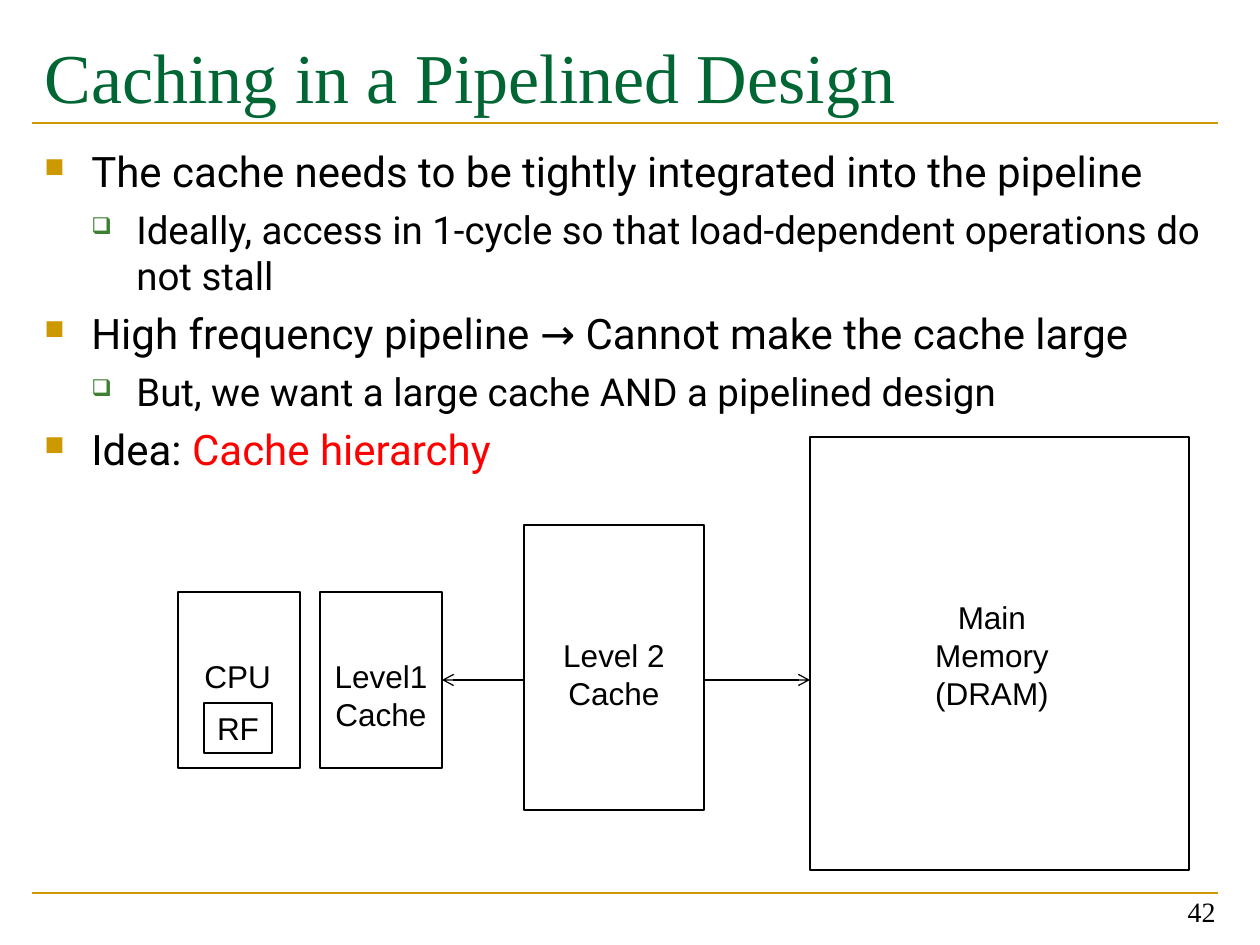
"""Build the slide on caching in a pipelined design."""
from dataclasses import dataclass

from lxml import etree
from pptx import Presentation
from pptx import util as u
from pptx.dml.color import RGBColor
from pptx.enum import shapes, text
from pptx.oxml import ns

PX = 914400 / 126
LEFT, CENTER, RIGHT = text.PP_ALIGN.LEFT, text.PP_ALIGN.CENTER, text.PP_ALIGN.RIGHT


@dataclass(frozen=True)
class Theme:
    """Colours, fonts and type sizes."""
    ink: str = "000000"
    paper: str = "FFFFFF"
    gold: str = "CC9900"
    green: str = "006633"
    leaf: str = "3B812F"
    red: str = "FF0000"
    serif: str = "Times New Roman"
    body: str = "Roboto"
    label: str = "Arial"
    title_size: int = 40
    number_size: int = 16
    label_size: int = 18
    space_before: float = 5.5


THEME = Theme()


@dataclass(frozen=True)
class Area:
    """A rectangle in px."""
    x: int
    y: int
    w: int
    h: int

    def emu(self) -> list[int]:
        """Return left, top, width and height in EMU."""
        return [px(v) for v in (self.x, self.y, self.w, self.h)]


@dataclass(frozen=True)
class Level:
    """The look of one bullet level; lengths in px, mark size in percent."""
    mark: str
    colour: str
    scale: int
    left: int
    hang: int
    size: int


@dataclass(frozen=True)
class Bullet:
    """A bullet of the body text, with an optional highlighted ending."""
    level: int
    words: str
    highlight: str = ""


LEVELS = (
    Level("■", THEME.gold, 65, 47, 47, 24),
    Level("❑", THEME.leaf, 60, 92, 45, 22),
)
BULLETS = (
    Bullet(0, "The cache needs to be tightly integrated into the pipeline"),
    Bullet(1, "Ideally, access in 1-cycle so that load-dependent operations do not stall"),
    Bullet(0, "High frequency pipeline → Cannot make the cache large"),
    Bullet(1, "But, we want a large cache AND a pipelined design"),
    Bullet(0, "Idea: ", "Cache hierarchy"),
)


def px(value: float) -> int:
    """Turn px into EMU."""
    return round(value * PX)


def add_run(paragraph, words: str, font: str, size: int, colour: str) -> None:
    """Add one formatted run."""
    run = paragraph.add_run()
    run.text = words
    run.font.name, run.font.size = font, u.Pt(size)
    run.font.color.rgb = RGBColor.from_string(colour)


def add_text(slide, area: Area, lines: tuple[str, ...], align=CENTER,
             anchor=text.MSO_ANCHOR.TOP, font: str = THEME.label,
             size: int = THEME.label_size) -> None:
    """Add a text box with one paragraph for each line."""
    frame = slide.shapes.add_textbox(*area.emu()).text_frame
    frame.word_wrap = True
    frame.vertical_anchor = anchor
    for index, line in enumerate(lines):
        paragraph = frame.add_paragraph() if index else frame.paragraphs[0]
        paragraph.alignment = align
        add_run(paragraph, line, font, size, THEME.ink)


def add_block(slide, area: Area, fill: str = ""):
    """Add an outlined rectangle, hollow unless a fill is given."""
    block = slide.shapes.add_shape(shapes.MSO_SHAPE.RECTANGLE, *area.emu())
    block.shadow.inherit = False
    if fill:
        block.fill.solid()
        block.fill.fore_color.rgb = RGBColor.from_string(fill)
    else:
        block.fill.background()
    block.line.color.rgb = RGBColor.from_string(THEME.ink)
    block.line.width = u.Pt(0.75)
    return block


def add_line(slide, start: tuple[int, int], end: tuple[int, int],
             colour: str, width: float):
    """Add a straight line without a shadow."""
    line = slide.shapes.add_connector(
        shapes.MSO_CONNECTOR.STRAIGHT, *(px(v) for v in start + end))
    line.line.color.rgb = RGBColor.from_string(colour)
    line.line.width = u.Pt(width)
    etree.SubElement(line._element.spPr, ns.qn("a:effectLst"))
    return line


def add_bullet(paragraph, bullet: Bullet, first: bool) -> None:
    """Fill a paragraph with a bullet of its level."""
    level = LEVELS[bullet.level]
    paragraph.level = bullet.level
    props = paragraph._p.get_or_add_pPr()
    props.set("marL", str(px(level.left)))
    props.set("indent", str(px(-level.hang)))
    colour = etree.SubElement(props, ns.qn("a:buClr"))
    etree.SubElement(colour, ns.qn("a:srgbClr"), val=level.colour)
    etree.SubElement(props, ns.qn("a:buSzPct"), val=str(level.scale * 1000))
    etree.SubElement(props, ns.qn("a:buChar"), char=level.mark)
    paragraph.space_before = u.Pt(0 if first else THEME.space_before)
    add_run(paragraph, bullet.words, THEME.body, level.size, THEME.ink)
    if bullet.highlight:
        add_run(paragraph, bullet.highlight, THEME.body, level.size, THEME.red)


def add_heading(slide) -> None:
    """Place and format the title."""
    title = slide.shapes.title
    title.left, title.top, title.width, title.height = Area(32, 21, 1186, 147).emu()
    frame = title.text_frame
    frame.auto_size = text.MSO_AUTO_SIZE.NONE
    frame.vertical_anchor = text.MSO_ANCHOR.TOP
    frame.margin_top = px(13)
    frame.paragraphs[0].alignment = LEFT
    add_run(frame.paragraphs[0], "Caching in a Pipelined Design",
            THEME.serif, THEME.title_size, THEME.green)


def add_body(slide) -> None:
    """Add the bulleted text."""
    frame = slide.shapes.add_textbox(*Area(32, 137, 1186, 716).emu()).text_frame
    frame.word_wrap = True
    frame.margin_top = px(9)
    for index, bullet in enumerate(BULLETS):
        paragraph = frame.add_paragraph() if index else frame.paragraphs[0]
        add_bullet(paragraph, bullet, index == 0)


def add_hierarchy(slide) -> None:
    """Draw the processor, the two caches and the memory."""
    add_block(slide, Area(178, 592, 122, 176))
    add_block(slide, Area(810, 437, 379, 433))
    level1 = add_block(slide, Area(320, 592, 122, 176))
    register_file = add_block(slide, Area(204, 703, 68, 50)).text_frame
    register_file.word_wrap = False
    register_file.paragraphs[0].alignment = CENTER
    add_run(register_file.paragraphs[0], "RF", THEME.label, THEME.label_size, THEME.ink)

    arrow = add_line(slide, (810, 680), (442, 680), THEME.ink, 0.75)
    arrow.end_connect(level1, 3)
    for end in ("a:headEnd", "a:tailEnd"):
        etree.SubElement(arrow.line._get_or_add_ln(), ns.qn(end), type="arrow")
    add_block(slide, Area(524, 525, 180, 285), THEME.paper)

    add_text(slide, Area(192, 651, 92, 50), ("CPU",), LEFT)
    add_text(slide, Area(320, 651, 122, 89), ("Level1", "Cache"))
    add_text(slide, Area(524, 630, 180, 89), ("Level 2", "Cache"))
    add_text(slide, Area(922, 592, 140, 127), ("Main", "Memory", "(DRAM)"))


def main() -> None:
    """Build and save the slide."""
    deck = Presentation()
    deck.slide_width, deck.slide_height = px(1260), px(945)
    slide = deck.slides.add_slide(deck.slide_layouts[5])
    for y in (893, 123):
        add_line(slide, (32, y), (1218, y), THEME.gold, 1.5)
    add_heading(slide)
    add_body(slide)
    add_text(slide, Area(934, 871, 294, 63), ("42",), RIGHT,
             text.MSO_ANCHOR.BOTTOM, THEME.serif, THEME.number_size)
    add_hierarchy(slide)
    deck.save("out.pptx")


if __name__ == "__main__":
    main()
